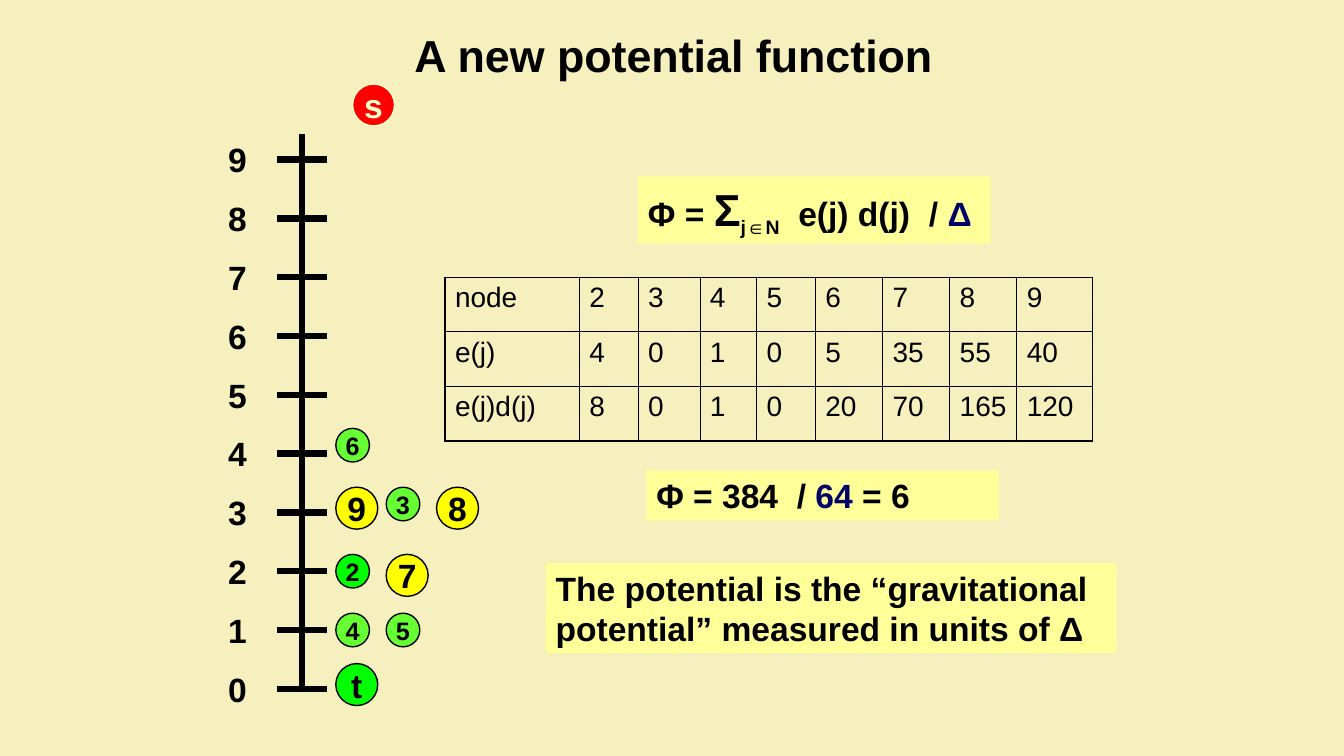
from dataclasses import dataclass

from lxml.etree import SubElement
from pptx import Presentation
from pptx.dml.color import RGBColor
from pptx.enum.shapes import MSO_CONNECTOR, MSO_SHAPE
from pptx.enum.text import MSO_ANCHOR, MSO_AUTO_SIZE, PP_ALIGN
from pptx.oxml.ns import qn
from pptx.util import Inches, Pt

EMU_PER_PX = 9525


@dataclass(frozen=True)
class Theme:
    font: str = "Arial"
    background: str = "F5F0BD"
    ink: str = "000000"
    accent: str = "000066"
    note: str = "FFFF99"
    cream: str = "FFFFCC"
    red: str = "FF0000"
    yellow: str = "FFFF00"
    green: str = "00FF00"
    lime: str = "66FF33"
    title_size: int = 32
    body_size: int = 24
    table_size: int = 20
    small_size: int = 18
    axis_width: float = 4.5
    outline_width: float = 1
    outer_border: float = 1.08
    inner_border: float = 0.45


def px(*lengths):
    return [length * EMU_PER_PX for length in lengths]


class SlideBuilder:
    def __init__(self, presentation, theme):
        self.theme = theme
        self.slide = presentation.slides.add_slide(presentation.slide_layouts[5])
        fill = self.slide.background.fill
        fill.solid()
        fill.fore_color.rgb = RGBColor.from_string(theme.background)

    def add_run(self, paragraph, text, size=None, color=None, bold=True,
                baseline=None, spacing=None):
        run = paragraph.add_run()
        run.text = text
        run.font.name = self.theme.font
        run.font.size = Pt(size or self.theme.body_size)
        run.font.bold = bold
        run.font.color.rgb = RGBColor.from_string(color or self.theme.ink)
        properties = run.font._element
        if baseline:
            properties.set("baseline", str(baseline))
        if spacing:
            properties.set("spc", str(spacing))

    def title(self, text, left, top, width, height):
        shape = self.slide.shapes.title
        shape.left, shape.top, shape.width, shape.height = px(left, top, width, height)
        frame = shape.text_frame
        frame.margin_left = frame.margin_right = 0
        frame.margin_top = frame.margin_bottom = 0
        frame.auto_size = MSO_AUTO_SIZE.NONE
        frame.vertical_anchor = MSO_ANCHOR.MIDDLE
        frame.paragraphs[0].alignment = PP_ALIGN.CENTER
        self.add_run(frame.paragraphs[0], text, self.theme.title_size)

    def line(self, x1, y1, x2, y2):
        line = self.slide.shapes.add_connector(MSO_CONNECTOR.STRAIGHT, *px(x1, y1, x2, y2))
        line.line.width = Pt(self.theme.axis_width)
        line.line.color.rgb = RGBColor.from_string(self.theme.ink)
        SubElement(line._element.spPr, qn("a:effectLst"))

    def label(self, text, left, top, width, height):
        frame = self.slide.shapes.add_textbox(*px(left, top, width, height)).text_frame
        frame.word_wrap = True
        frame.auto_size = MSO_AUTO_SIZE.SHAPE_TO_FIT_TEXT
        self.add_run(frame.paragraphs[0], text)

    def shape(self, kind, left, top, width, height, fill):
        shape = self.slide.shapes.add_shape(kind, *px(left, top, width, height))
        shape.shadow.inherit = False
        shape.fill.solid()
        shape.fill.fore_color.rgb = RGBColor.from_string(fill)
        return shape

    def node(self, text, left, top, diameter, size, fill, color=None):
        color = color or self.theme.ink
        shape = self.shape(MSO_SHAPE.OVAL, left, top, diameter, diameter, fill)
        shape.line.color.rgb = RGBColor.from_string(color)
        shape.line.width = Pt(self.theme.outline_width)
        frame = shape.text_frame
        frame.word_wrap = False
        frame.vertical_anchor = MSO_ANCHOR.MIDDLE
        frame.paragraphs[0].alignment = PP_ALIGN.CENTER
        self.add_run(frame.paragraphs[0], text, size, color)

    def note(self, runs, left, top, width, height):
        shape = self.shape(MSO_SHAPE.RECTANGLE, left, top, width, height, self.theme.note)
        shape.line.fill.background()
        frame = shape.text_frame
        frame.word_wrap = True
        frame.auto_size = MSO_AUTO_SIZE.SHAPE_TO_FIT_TEXT
        frame.vertical_anchor = MSO_ANCHOR.TOP
        frame.paragraphs[0].alignment = PP_ALIGN.LEFT
        for text, style in runs:
            self.add_run(frame.paragraphs[0], text, **style)

    def border(self, cell, side, width):
        line = SubElement(cell._tc.get_or_add_tcPr(), qn(f"a:ln{side}"), w=str(Pt(width)))
        fill = SubElement(line, qn("a:solidFill"))
        SubElement(fill, qn("a:srgbClr"), val=self.theme.ink)

    def table(self, rows, left, top, column_widths, row_height):
        last_row, last_column = len(rows) - 1, len(column_widths) - 1
        table = self.slide.shapes.add_table(
            len(rows), len(column_widths),
            *px(left, top, sum(column_widths), row_height * len(rows))).table
        table.first_row = table.horz_banding = False
        for column, width in zip(table.columns, column_widths):
            column.width = width * EMU_PER_PX
        for i, values in enumerate(rows):
            table.rows[i].height = row_height * EMU_PER_PX
            for j, value in enumerate(values):
                cell = table.cell(i, j)
                outer_sides = {"L": j == 0, "R": j == last_column,
                               "T": i == 0, "B": i == last_row}
                for side, outer in outer_sides.items():
                    self.border(cell, side, self.theme.outer_border if outer
                                else self.theme.inner_border)
                cell.fill.background()
                self.add_run(cell.text_frame.paragraphs[0], value,
                             self.theme.table_size, bold=False)


def main():
    theme = Theme()
    presentation = Presentation()
    presentation.slide_width = Inches(13.34)
    presentation.slide_height = Inches(7.5)
    builder = SlideBuilder(presentation, theme)
    builder.title("A new potential function ", 200, 32, 896, 40)

    # Distance axis with ticks and labels
    axis_x, axis_bottom, tick_gap = 288, 656, 56
    builder.line(axis_x, 128, axis_x, axis_bottom)
    for distance in range(10):
        y = axis_bottom - distance * tick_gap
        builder.line(axis_x - 24, y, axis_x + 24, y)
        builder.label(str(distance), 208, y - 24, 40, 48)

    # Nodes beside the axis: large ones are active
    large, small = (40, theme.body_size), (32, theme.small_size)
    builder.node("s", 336, 80, *large, theme.red, theme.cream)
    for text, column, top, scale, fill in [
        ("t", 0, 632, large, theme.green),
        ("4", 0, 584, small, theme.lime),
        ("5", 1, 584, small, theme.lime),
        ("2", 0, 528, small, theme.green),
        ("7", 1, 528, large, theme.yellow),
        ("9", 0, 464, large, theme.yellow),
        ("3", 1, 464, small, theme.lime),
        ("8", 2, 464, large, theme.yellow),
        ("6", 0, 408, small, theme.lime),
    ]:
        builder.node(text, 320 + column * 48, top, *scale, fill)

    # Potential formula; a wide space separates its terms
    wide_space = (" ", {"spacing": 667})
    accent = {"color": theme.accent}
    builder.note([
        ("Φ = ", {}), ("Σ", {"size": theme.title_size}), ("j∈N", {"baseline": -25000}),
        wide_space, ("e(j) d(j)", {}), wide_space, ("/ ", {}), ("Δ", accent),
    ], 608, 168, 336, 64)

    # Excess table
    builder.table([
        ["node", "2", "3", "4", "5", "6", "7", "8", "9"],
        ["e(j)", "4", "0", "1", "0", "5", "35", "55", "40"],
        ["e(j)d(j)", "8", "0", "1", "0", "20", "70", "165", "120"],
    ], 424, 264, [128, 56, 59, 54, 56, 64, 64, 64, 72], 52)

    # Result and interpretation
    builder.note([("Φ = 384", {}), wide_space, ("/ ", {}), ("64 ", accent), ("= 6", {})],
                 616, 448, 336, 48)
    builder.note([("The potential is the “gravitational potential” measured in units of Δ", {})],
                 520, 536, 544, 86)

    presentation.save("out.pptx")


if __name__ == "__main__":
    main()
